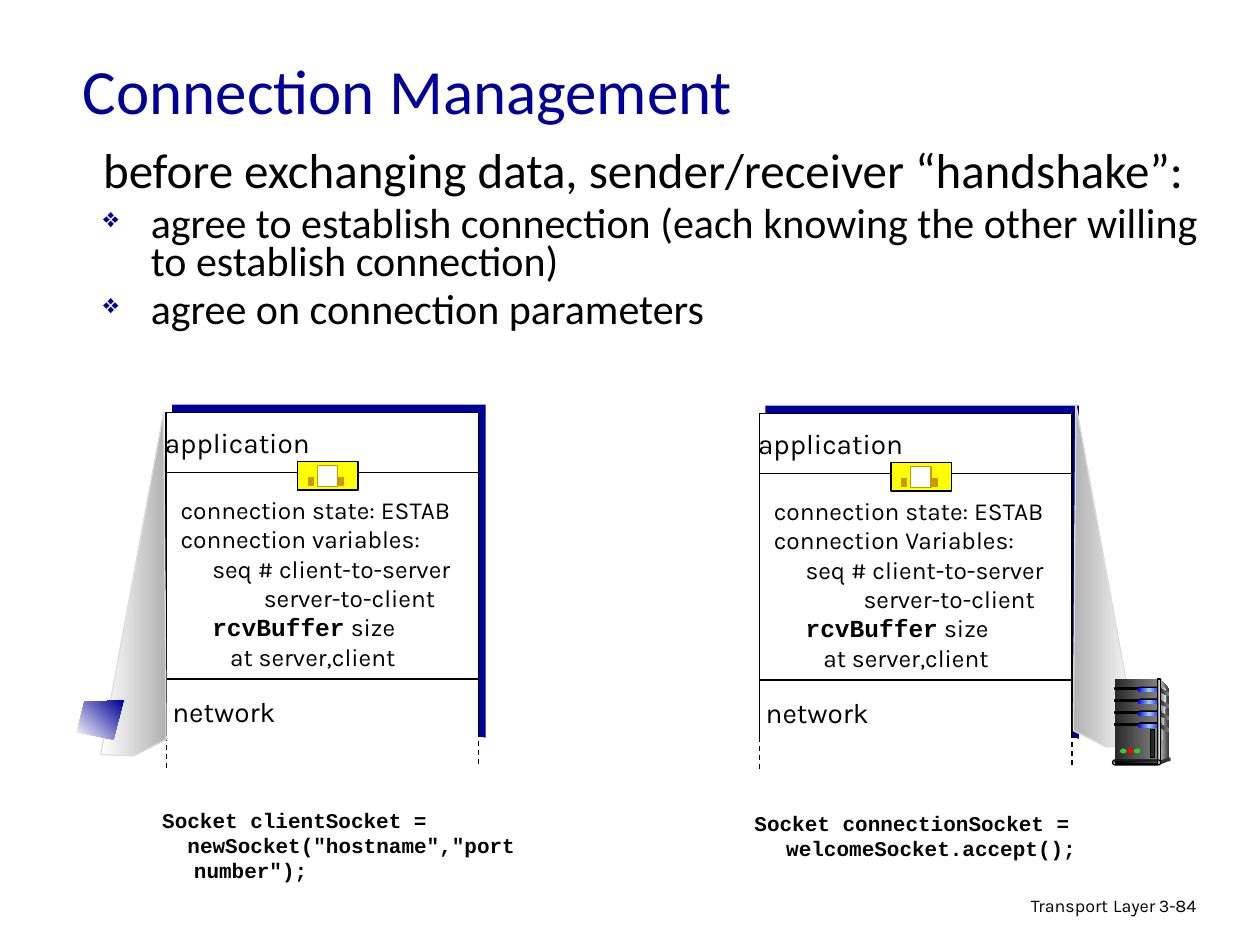
import lxml.etree
import pptx
import pptx.dml.color
import pptx.enum.dml
import pptx.enum.shapes
import pptx.enum.text
import pptx.oxml.ns
import pptx.util

Cm, Pt = pptx.util.Cm, pptx.util.Pt
qn = pptx.oxml.ns.qn
SubElement = lxml.etree.SubElement
MSO_SHAPE = pptx.enum.shapes.MSO_SHAPE
RECT, ROUND, OVAL = MSO_SHAPE.RECTANGLE, MSO_SHAPE.ROUNDED_RECTANGLE, MSO_SHAPE.OVAL
ALIGN = pptx.enum.text.PP_ALIGN
ANCHOR = pptx.enum.text.MSO_ANCHOR
NAVY, GOLD = "000099", "CC9900"
METAL = ("808080", "292929")
CODE = dict(font="Courier New", bold=True)

prs = pptx.Presentation()
prs.slide_width, prs.slide_height = Cm(25.4), Cm(19.05)
s = prs.slides.add_slide(prs.slide_layouts[6])


def write(target, text, size=14, font="Karla", color="000000", bold=False, align=ALIGN.LEFT,
          anchor=ANCHOR.TOP, wrap=True, left=0, first=0, spacing=None, before=0,
          bullet=None, same_line=False):
    """Add text to a text frame, or to a new box when target is (x, y, w, h) in cm."""
    if isinstance(target, tuple):
        tf = s.shapes.add_textbox(*map(Cm, target)).text_frame
        tf.word_wrap, tf.vertical_anchor = wrap, anchor
        p = tf.paragraphs[0]
    else:
        tf = target
        p = tf.paragraphs[-1] if same_line else tf.add_paragraph()
    if not same_line:
        p.alignment, p.line_spacing, p.space_before = align, spacing, Pt(before)
        pPr = p._p.get_or_add_pPr()
        pPr.set("marL", str(Cm(left)))
        pPr.set("indent", str(Cm(first)))
        if bullet:
            SubElement(SubElement(pPr, qn("a:buClr")), qn("a:srgbClr"), val=NAVY)
            SubElement(pPr, qn("a:buSzPct"), val="65000")
            SubElement(pPr, qn("a:buChar"), char=bullet)
    r = p.add_run()
    r.text = text
    r.font.size, r.font.name, r.font.bold = Pt(size), font, bold
    r.font.color.rgb = pptx.dml.color.RGBColor.from_string(color)
    return tf


def draw(geometry, box, fill=None, line=None, angle=180, dash=False):
    """Draw a preset in (x, y, w, h), a polygon (None) or a connector ("line"), in cm.

    A tuple of hex colours as fill makes an evenly spaced gradient.
    """
    rgb = pptx.dml.color.RGBColor.from_string
    if geometry == "line":
        sp = s.shapes.add_connector(pptx.enum.shapes.MSO_CONNECTOR.STRAIGHT, *map(Cm, box))
    elif geometry is None:
        points = [(Cm(x), Cm(y)) for x, y in box]
        builder = s.shapes.build_freeform(*points[0], scale=1.0)
        builder.add_line_segments(points[1:], close=True)
        sp = builder.convert_to_shape()
    else:
        sp = s.shapes.add_shape(geometry, *map(Cm, box))
        if geometry == ROUND:
            sp.adjustments[0] = 0.5
    if isinstance(fill, tuple):
        sp.fill.gradient()
        sp.fill.gradient_angle = angle
        stops = sp._element.spPr.find(".//" + qn("a:gsLst"))
        stops.clear()
        for i, color in enumerate(fill):
            stop = SubElement(stops, qn("a:gs"), pos=str(100000 * i // (len(fill) - 1)))
            SubElement(stop, qn("a:srgbClr"), val=color)
    elif fill:
        sp.fill.solid()
        sp.fill.fore_color.rgb = rgb(fill)
    if line:
        sp.line.color.rgb, sp.line.width = rgb(line), Pt(0.75)
        if dash:
            sp.line.dash_style = pptx.enum.dml.MSO_LINE.DASH
    else:
        sp.line.fill.background()
    if geometry == "line":
        SubElement(sp._element.spPr, qn("a:effectLst"))
    else:
        sp.shadow.inherit = False


# Footer, title and body
tf = write((15.49, 17.91, 8.05, 0.79), "Transport", 10.2, align=ALIGN.RIGHT, spacing=0.9)
write(tf, " ", 11.9, same_line=True)
write(tf, "Layer", 10.2, same_line=True)
write((23.11, 17.96, 1.88, 0.76), "3-84", 10.2, spacing=0.9)
write((1.42, 0.53, 21.59, 2.54), "Connection Management", 36, "Calibri", NAVY,
      anchor=ANCHOR.MIDDLE)
tf = write((1.83, 2.97, 23.16, 6.07), "before exchanging data, sender/receiver “handshake”:",
           28, "Calibri", left=0.96, first=-0.96, spacing=0.75)
for text in ("agree to establish connection (each knowing the other willing to establish connection)",
             "agree on connection parameters"):
    write(tf, text, 24, "Calibri", left=0.96, first=-0.96, spacing=0.75, before=6, bullet="❖")

# Client and server hosts: frame corner, wording, indent, beam outline, beam angle
hosts = [
    (3.35, 8.31, "connection variables:", 1.68,
     [(2.03, 15.21), (3.3, 8.31), (3.35, 14.91), (2.69, 15.24)], 0),
    (15.31, 8.33, "connection Variables:", 1.81,
     [(22.94, 15.04), (21.69, 8.15), (21.64, 14.73), (22.3, 15.06)], 180),
]
for x, y, variables, indent, beam, angle in hosts:
    draw(RECT, (x + 0.12, y - 0.15, 6.32, 6.71), NAVY)
    draw(RECT, (x, y, 6.3, 6.86), "FFFFFF", "000000")
    for dy in (1.22, 5.38):
        draw("line", (x, y + dy, x + 6.3, y + dy), line="000000")
    tf = write((x + 0.04, y + 1.54, 6.48, 4.42), "connection state: ESTAB")
    write(tf, variables)
    write(tf, "seq # client-to-server", left=0.64)
    write(tf, "server-to-client", left=indent)
    write(tf, "rcvBuffer", left=0.64, **CODE)
    write(tf, " size", same_line=True)
    write(tf, "at server,client", left=1)
    draw(RECT, (x + 2.65, y + 0.99, 1.22, 0.58), "FFFF00", "000000")
    draw(RECT, (x + 3.05, y + 1.07, 0.41, 0.43), "FFFFFF", GOLD)
    for dx in (2.87, 3.48):
        draw(RECT, (x + dx, y + 1.32, 0.1, 0.15), GOLD, GOLD)
    write((x - 0.28, y + 0.15, 3.43, 0.94), "application", 16, align=ALIGN.CENTER, wrap=False)
    write((x - 0.18, y + 5.56, 2.69, 0.94), "network", 16, align=ALIGN.CENTER, wrap=False)
    draw(RECT, (x - 0.08, y + 6.55, 6.48, 0.51), "FFFFFF")
    for dx, dy in ((0, 6.53), (6.3, 6.45)):
        draw("line", (x + dx, y + dy, x + dx, y + dy + 0.66), line="000000", dash=True)
    draw(None, beam, ("FFFFFF", "B2B2B2"), "DDDDDD", angle)

# Socket calls
tf = write((3.02, 16.15, 8.03, 1.78), "Socket clientSocket =", 12, left=0.64, first=-0.64, **CODE)
write(tf, 'newSocket("hostname","port number");', 12, left=0.64, first=-0.13, **CODE)
write((14.96, 16.21, 8.03, 1.27), "Socket connectionSocket = welcomeSocket.accept();", 12,
      left=0.64, first=-0.64, **CODE)

# Client screen
draw(None, [(2.49, 14.12), (1.7, 14.15), (1.55, 14.76), (2.29, 14.91)], ("FFFFFF", NAVY), angle=45)

# Server tower
draw(None, [(23.39, 13.69), (23.57, 13.89), (23.57, 15.27), (23.34, 15.34)], ("333333", "DDDDDD"))
draw(RECT, (22.48, 13.69, 0.86, 1.65), METAL)
draw(None, [(23.39, 13.79), (23.52, 13.92), (23.39, 15.29)], ("F8F8F8", "808080"))
for i in range(4):
    y = 13.87 + 0.24 * i
    draw(RECT, (22.48, y, 0.48, 0.03), "000000", "000000")
    draw(ROUND, (22.94, y - 0.03, 0.48, 0.1), "000000")
    draw(ROUND, (22.94, y, 0.46, 0.08), ("0000FF", "99CCFF", "0000FF"))
    draw(None, [(23.37, y), (23.57, y + 0.1), (23.57, y + 0.17), (23.37, y + 0.07)], METAL)
draw(RECT, (23.34, 13.69, 0.05, 1.65), ("333333", "DDDDDD", "333333"), "000000")
draw(OVAL, (23.55, 15.27, 0.05, 0.08), "333333")
draw(None, [(23.37, 15.34), (23.37, 15.42), (23.57, 15.34), (23.57, 15.27)], "333333")
draw(ROUND, (22.43, 15.32, 0.97, 0.1), "DDDDDD", "000000")
draw(ROUND, (22.48, 15.34, 0.86, 0.05), ("808080", "000000"), "000000")
for i, color in enumerate(("33CC33", "FF0000", "33CC33")):
    draw(OVAL, (22.58 + 0.14 * i, 15.09, 0.13, 0.1), color)
draw(RECT, (23.19, 14.71, 0.08, 0.56), "292929", "000000")

prs.save("out.pptx")
